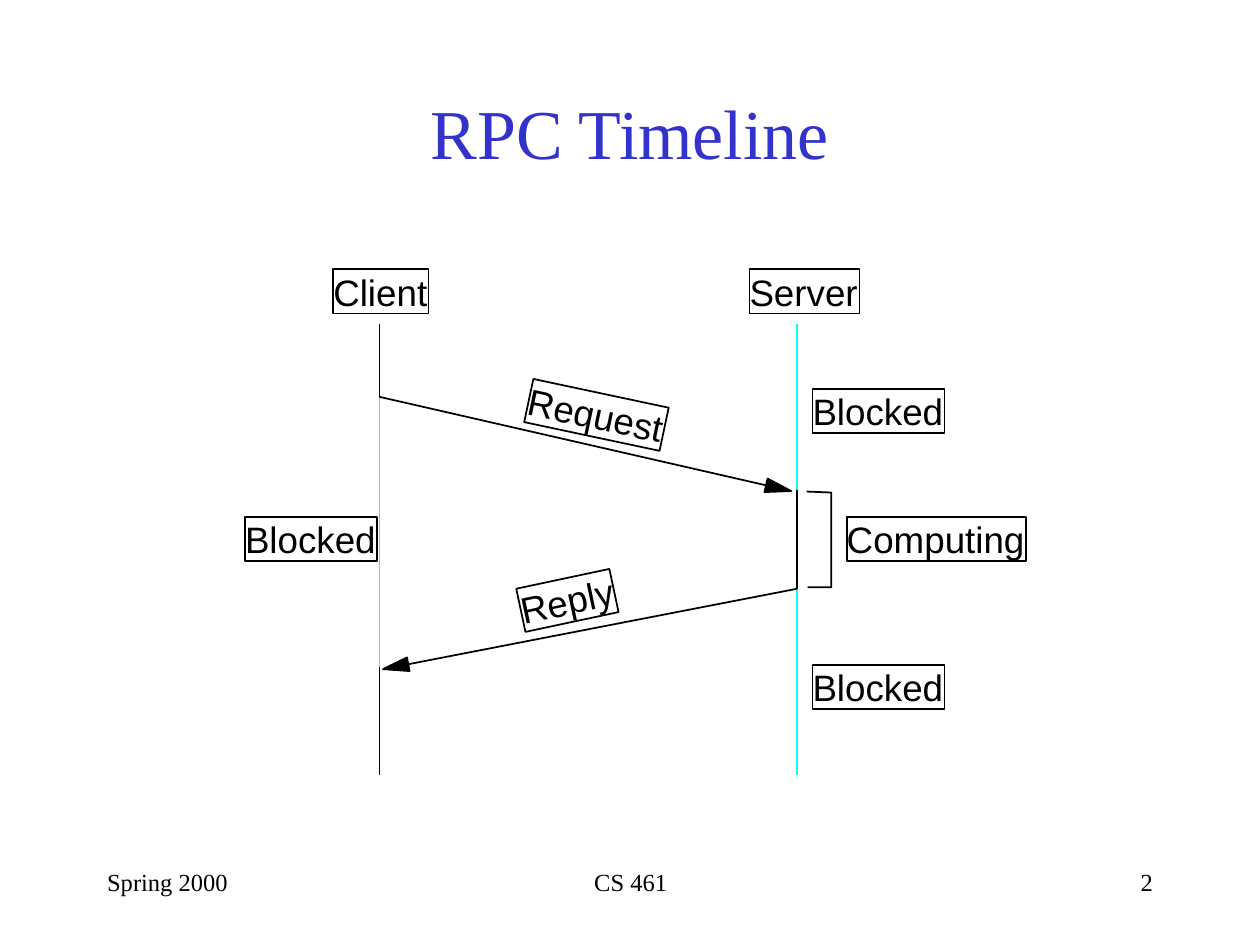
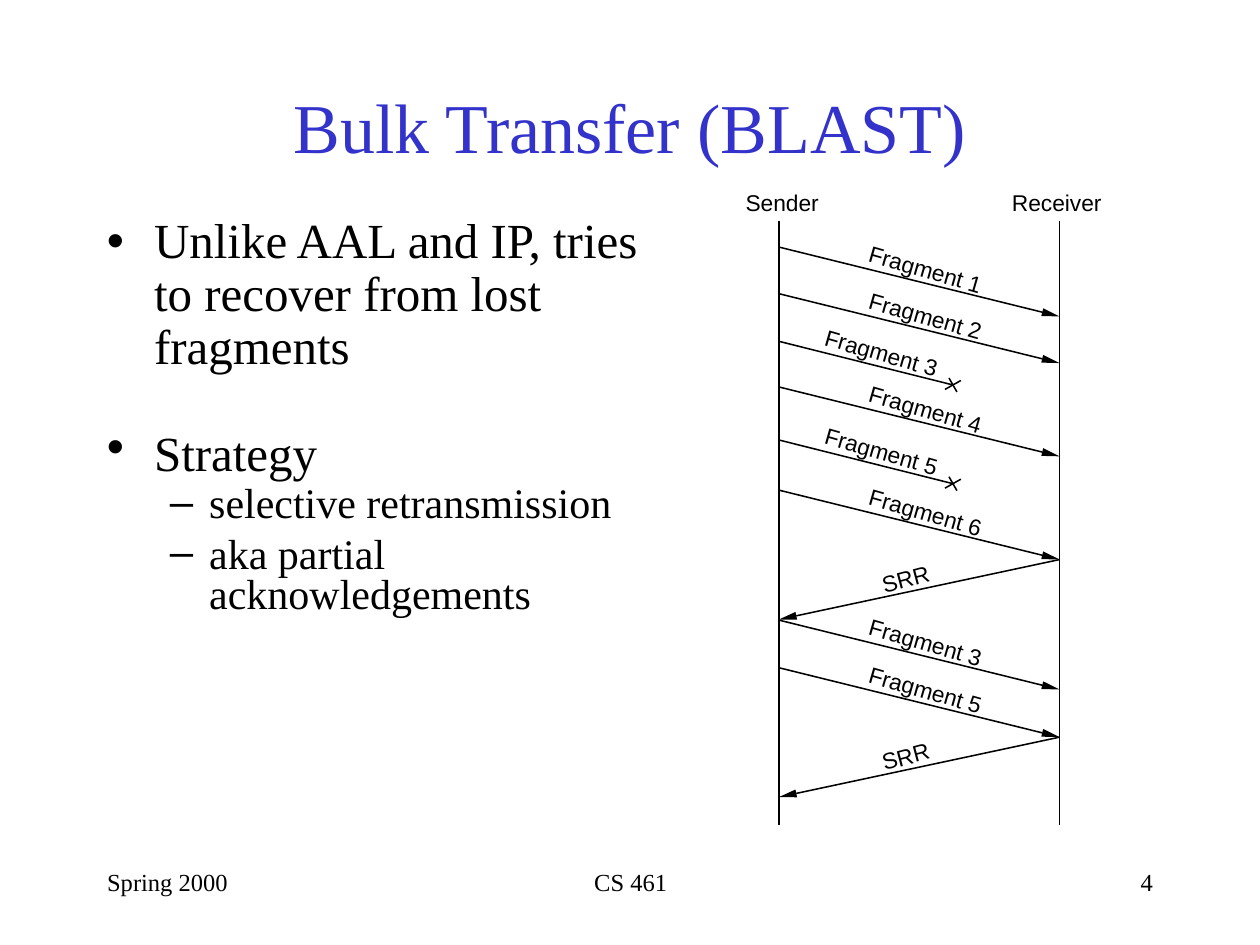
"""Build two lecture slides on the RPC timeline and on bulk transfer."""
import math

import pptx
import pptx.dml.color
import pptx.enum.shapes
import pptx.enum.text
import pptx.oxml
import pptx.oxml.ns
import pptx.util

Cm = pptx.util.Cm
Pt = pptx.util.Pt
ALIGN = pptx.enum.text.PP_ALIGN
ANCHOR = pptx.enum.text.MSO_ANCHOR
FIT = pptx.enum.text.MSO_AUTO_SIZE

SERIF, SANS = "Times New Roman", "Arial"
BLACK, BLUE, CYAN = "000000", "3333CC", "00FFFF"

FOOTERS = [
    ("Spring 2000", 1.91, 5.28, ALIGN.LEFT),
    ("CS 461", 8.69, 8.05, ALIGN.CENTER),
    (None, 18.21, 5.28, ALIGN.RIGHT),
]

RPC_TITLE = ("RPC Timeline", 1.07, 3.18, "2")
RPC_HEAD = (0.52, 0.28, 1)
CLIENT_X, SERVER_X = 7.65, 16.06
RPC_LIFELINES = [
    (CLIENT_X, (6.53, 8, 13.44, 15.62), (BLACK, CYAN, BLACK)),
    (SERVER_X, (6.53, 9.88, 11.87, 15.62), (CYAN, BLACK, CYAN)),
]
RPC_CALLS = [
    ((CLIENT_X, 8), (15.95, 9.9)),
    ((SERVER_X, 11.87), (7.72, 13.49)),
]
RPC_LABELS = [
    ("Client", 6.72, 5.43, 1.92, 0),
    ("Server", 15.11, 5.43, 2.22, 0),
    ("Request", 10.63, 7.92, 2.79, 12),
    ("Reply", 10.48, 11.66, 1.92, -12),
    ("Computing", 17.07, 10.42, 3.62, 0),
    ("Blocked", 16.38, 7.84, 2.66, 0),
    ("Blocked", 16.38, 13.41, 2.66, 0),
    ("Blocked", 4.94, 10.42, 2.66, 0),
]
COMPUTING_BRACKET = [(16.26, 9.91), (16.76, 9.93), (16.76, 11.84), (16.28, 11.84)]

BLAST_TITLE = ("Bulk Transfer (BLAST)", 1.27, 2.54, "4")
BLAST_HEAD = (0.36, 0.16, 0)
BLAST_POINTS = [
    ("Unlike AAL and IP, tries to recover from lost fragments", 0, 28, 0.9, 0),
    ("Strategy", 0, 28, 0.4, 44),
    ("selective retransmission", 1, 24, 0.8, 6),
    ("aka partial acknowledgements", 1, 24, 0.8, 6),
]
SENDER_X, RECEIVER_X, LOST_X = 15.7, 21.36, 19.21
BLAST_ENDS = [
    ("Sender", 15.03, 1.54, SENDER_X),
    ("Receiver", 20.4, 1.87, RECEIVER_X),
]
MESSAGE_KINDS = {
    "sent": dict(start=SENDER_X, end=RECEIVER_X, drop=1.4,
                 left=17.49, offset=0.17, width=2.36, turn=16),
    "lost": dict(start=SENDER_X, end=LOST_X, drop=0.88,
                 left=16.6, offset=-0.05, width=2.36, turn=16),
    "request": dict(start=RECEIVER_X, end=SENDER_X, drop=1.21,
                    left=17.77, offset=0.1, width=0.99, turn=-15),
}
MESSAGES = [
    ("Fragment 1", "sent", 4.98),
    ("Fragment 2", "sent", 5.92),
    ("Fragment 3", "lost", 6.88),
    ("Fragment 4", "sent", 7.8),
    ("Fragment 5", "lost", 8.87),
    ("Fragment 6", "sent", 9.88),
    ("SRR", "request", 11.28),
    ("Fragment 3", "sent", 12.5),
    ("Fragment 5", "sent", 13.46),
    ("SRR", "request", 14.86),
]
CROSS_STROKES = [(0.08, 0.14), (-0.16, 0.09)]


def color(value):
    return pptx.dml.color.RGBColor.from_string(value)


def set_font(para, name, size, value=BLACK):
    para.font.name = name
    para.font.size = Pt(size)
    para.font.color.rgb = color(value)


def add_line(page, start, end, width, value=BLACK):
    line = page.shapes.add_connector(
        pptx.enum.shapes.MSO_CONNECTOR.STRAIGHT,
        *(Cm(length) for length in (*start, *end)))
    line.line.width = Pt(width)
    line.line.color.rgb = color(value)
    line.element.spPr.append(pptx.oxml.parse_xml(
        f'<a:effectLst {pptx.oxml.ns.nsdecls("a")}/>'))


def add_outline(page, points, width, filled=False):
    corners = [(Cm(x), Cm(y)) for x, y in points]
    builder = page.shapes.build_freeform(*corners[0])
    builder.add_line_segments(corners[1:], close=filled)
    outline = builder.convert_to_shape()
    outline.shadow.inherit = False
    if filled:
        outline.fill.solid()
        outline.fill.fore_color.rgb = color(BLACK)
    else:
        outline.fill.background()
    if width:
        outline.line.width = Pt(width)
        outline.line.color.rgb = color(BLACK)
    else:
        outline.line.fill.background()


def add_arrow(page, start, tip, width, head):
    length, breadth, border = head
    angle = math.atan2(tip[1] - start[1], tip[0] - start[0])
    across, down = math.cos(angle), math.sin(angle)
    base = (tip[0] - length * across, tip[1] - length * down)
    add_line(page, start, base, width)
    half = breadth / 2
    add_outline(page, [(base[0] - half * down, base[1] + half * across), tip,
                       (base[0] + half * down, base[1] - half * across)],
                border, filled=True)


def add_label(page, text, left, top, width, height, size, turn=0, border=False):
    box = page.shapes.add_textbox(Cm(left), Cm(top), Cm(width), Cm(height))
    box.rotation = turn
    frame = box.text_frame
    frame.margin_left = frame.margin_right = 0
    frame.margin_top = frame.margin_bottom = 0
    frame.word_wrap = False
    frame.auto_size = FIT.SHAPE_TO_FIT_TEXT
    frame.text = text
    set_font(frame.paragraphs[0], SANS, size)
    if border:
        box.line.width = Pt(1)
        box.line.color.rgb = color(BLACK)


def add_page(deck, layout, heading):
    text, top, height, number = heading
    page = deck.slides.add_slide(deck.slide_layouts[layout])
    title = page.shapes.title
    title.left, title.top = Cm(1.9), Cm(top)
    title.width, title.height = Cm(21.59), Cm(height)
    title.text_frame.text = text
    title.text_frame.vertical_anchor = ANCHOR.MIDDLE
    title.text_frame.auto_size = FIT.NONE
    para = title.text_frame.paragraphs[0]
    para.alignment = ALIGN.CENTER
    set_font(para, SERIF, 40, BLUE)
    for footer, left, width, alignment in FOOTERS:
        box = page.shapes.add_textbox(Cm(left), Cm(17.35), Cm(width), Cm(1.27))
        box.text_frame.word_wrap = True
        box.text_frame.text = footer or number
        para = box.text_frame.paragraphs[0]
        para.alignment = alignment
        set_font(para, SERIF, 14)
    return page


def build_rpc(deck):
    page = add_page(deck, 5, RPC_TITLE)
    for x, stops, values in RPC_LIFELINES:
        for top, bottom, value in zip(stops, stops[1:], values):
            add_line(page, (x, top), (x, bottom), 1, value)
    for start, tip in RPC_CALLS:
        add_arrow(page, start, tip, 1, RPC_HEAD)
    for text, left, top, width, turn in RPC_LABELS:
        add_label(page, text, left, top, width, 0.89, 21, turn, border=True)
    add_outline(page, COMPUTING_BRACKET, 1)


def add_points(page):
    body = page.placeholders[1]
    body.left, body.top = Cm(1.9), Cm(4.24)
    body.width, body.height = Cm(11.23), Cm(11.43)
    frame = body.text_frame
    frame.auto_size = FIT.NONE
    frame.text = "\n".join(point[0] for point in BLAST_POINTS)
    for para, point in zip(frame.paragraphs, BLAST_POINTS):
        _, level, size, spacing, before = point
        para.level = level
        para.line_spacing = spacing
        para.space_before = Pt(before)
        set_font(para, SERIF, size)


def build_blast(deck):
    page = add_page(deck, 1, BLAST_TITLE)
    add_points(page)
    for text, left, width, x in BLAST_ENDS:
        add_label(page, text, left, 3.81, width, 0.56, 13)
        add_line(page, (x, 4.45), (x, 16.64), 0.88)
    for text, name, y in MESSAGES:
        kind = MESSAGE_KINDS[name]
        start, end = (kind["start"], y), (kind["end"], y + kind["drop"])
        add_label(page, text, kind["left"], y + kind["offset"],
                  kind["width"], 0.56, 13, kind["turn"])
        if name == "lost":
            add_line(page, start, end, 0.88)
            for across, down in CROSS_STROKES:
                add_line(page, (end[0] - across, end[1] - down),
                         (end[0] + across, end[1] + down), 0.88)
        else:
            add_arrow(page, start, end, 0.88, BLAST_HEAD)


def main():
    deck = pptx.Presentation()
    deck.slide_width, deck.slide_height = Cm(25.4), Cm(19.05)
    build_rpc(deck)
    build_blast(deck)
    deck.save("out.pptx")


if __name__ == "__main__":
    main()
